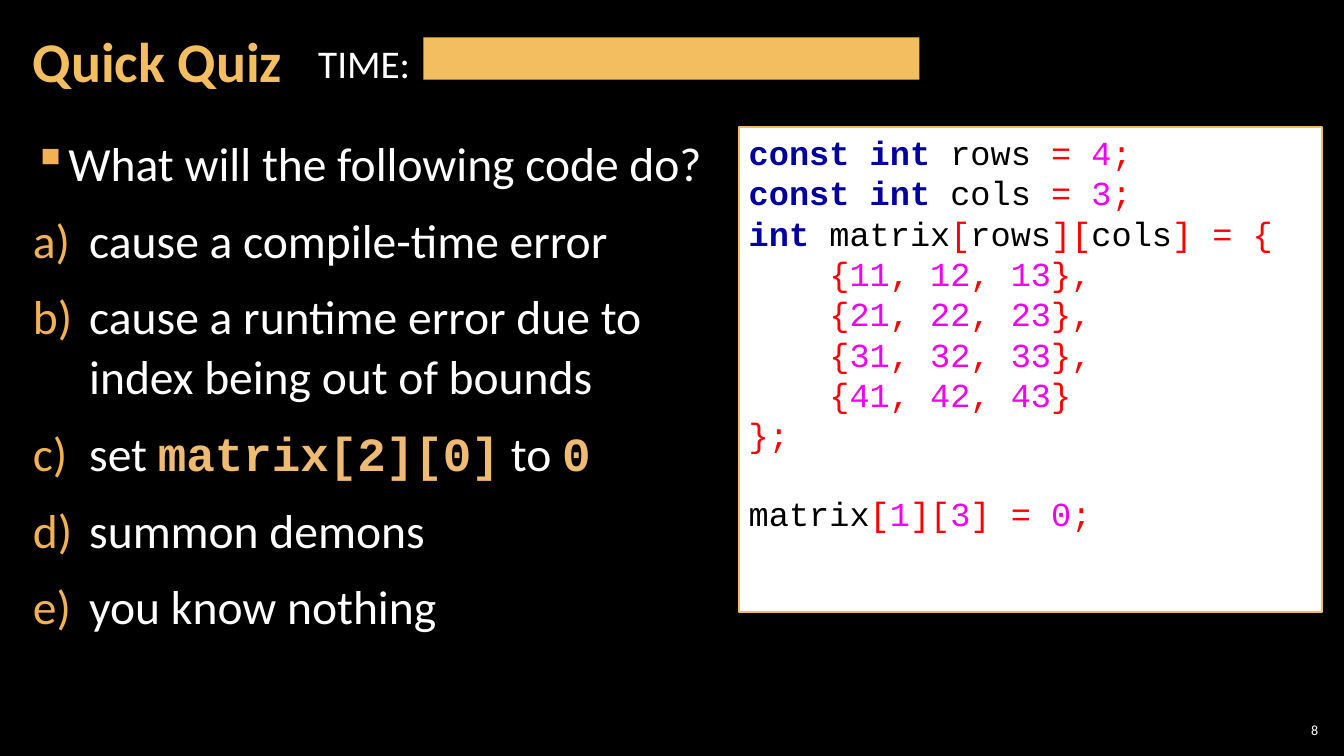
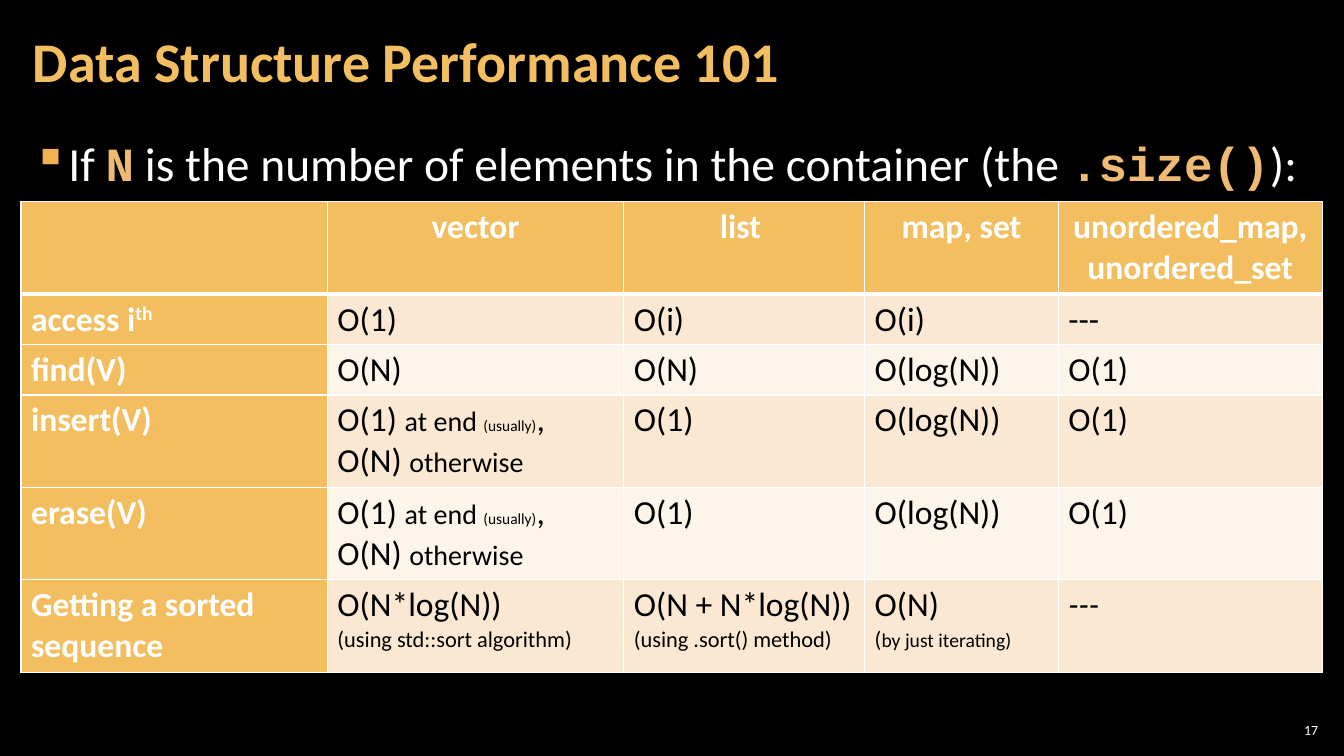
from itertools import groupby

from lxml.etree import SubElement
from pptx import Presentation
from pptx.dml.color import RGBColor
from pptx.enum.shapes import MSO_SHAPE as Shape
from pptx.enum.text import MSO_ANCHOR as Anchor, PP_ALIGN as Align
from pptx.oxml.ns import qn
from pptx.util import Cm, Pt

BLACK = RGBColor(0x00, 0x00, 0x00)
WHITE = RGBColor(0xFF, 0xFF, 0xFF)
GOLD = RGBColor(0xF3, 0xBE, 0x60)
BULLET = RGBColor(0xF2, 0xB2, 0x54)
INLINE_CODE = RGBColor(0xEF, 0xBB, 0x72)
KEYWORD = RGBColor(0x00, 0x00, 0xA0)
SYMBOL = RGBColor(0xFF, 0x00, 0x00)
NUMBER = RGBColor(0xF0, 0x00, 0xF0)
BAND_DARK = RGBColor(0xFA, 0xE8, 0xD2)
BAND_LIGHT = RGBColor(0xFD, 0xF4, 0xEA)

SANS, MONO = "Calibri", "Courier New"
LEFT, TOP, WIDTH = Cm(0.53), Cm(3.2), Cm(32.79)
BODY_BOX = (LEFT, TOP, WIDTH, Cm(15.47))
TITLE_BOX = (LEFT, Cm(0.1), Cm(26.59), Cm(3.07))
NUMBER_BOX = (Cm(32.13), Cm(18.14), Cm(1.19), Cm(0.53))
TIME_BOX = (Cm(7.77), Cm(0.86), Cm(2.84), Cm(1.45))
TIME_BAR = (Cm(10.67), Cm(0.94), Cm(12.5), Cm(1.07))
CODE_BOX = (Cm(18.62), TOP, Cm(14.7), Cm(12.22))

CODE = """const int rows = 4;
const int cols = 3;
int matrix[rows][cols] = {
\t{11, 12, 13},
\t{21, 22, 23},
\t{31, 32, 33},
\t{41, 42, 43}
};

matrix[1][3] = 0;"""

ANSWERS = [
    "cause a compile-time error",
    "cause a runtime error due to \nindex being out of bounds",
    "set `matrix[2][0]` to `0`",
    "summon demons",
    "you know nothing",
]

COLUMN_WIDTHS = [7.72, 7.47, 6.07, 4.88, 6.65]
ROW_HEIGHTS = [2.33, 1.27, 1.27, 2.33, 2.33, 2.33]
CONTAINERS = ["", "vector", "list ", "map, set", "unordered_map, unordered_set"]
AT_END = [
    [("O(1) ", 24), ("at end ", 20), ("(usually)", 11), (",", 24)],
    [("O(N) ", 24), ("otherwise", 20)],
]
COSTS = [
    ["access i^th", "O(1)", "O(i)", "O(i)", "---"],
    ["find(V)", "O(N)", "O(N)", "O(log(N))", "O(1)"],
    ["insert(V)", AT_END, "O(1)", "O(log(N))", "O(1)"],
    ["erase(V)", AT_END, "O(1)", "O(log(N))", "O(1)"],
    [
        "Getting a sorted sequence",
        [[("O(N*log(N))\n", 24), ("(using std::sort algorithm)", 16)]],
        [[("O(N + N*log(N))\n", 24), ("(using .sort() method)", 16)]],
        [[("O(N) \n", 24), ("(", 16), ("by just iterating)", 14)]],
        "---",
    ],
]


def apply(target, **values):
    for name, value in values.items():
        setattr(target, name, value)


def add_text(paragraph, text, size, color=WHITE, name=SANS, bold=False, **values):
    for index, line in enumerate(text.split("\n")):
        if index:
            paragraph.add_line_break()
        if line:
            run = paragraph.add_run()
            run.text = line
            apply(run.font, size=Pt(size), name=name, bold=bold, **values)
            run.font.color.rgb = color
    return run if text else None


def add_frame(slide, box, side=0.3, edge=0.1, **values):
    frame = slide.shapes.add_textbox(*box).text_frame
    apply(frame, margin_left=Cm(side), margin_right=Cm(side),
          margin_top=Cm(edge), margin_bottom=Cm(edge),
          **{"word_wrap": True, **values})
    return frame


def add_rectangle(slide, box, fill):
    rectangle = slide.shapes.add_shape(Shape.RECTANGLE, *box)
    rectangle.shadow.inherit = False
    rectangle.fill.solid()
    rectangle.fill.fore_color.rgb = fill
    rectangle.line.fill.background()
    return rectangle


def next_paragraph(frame, index):
    return frame.add_paragraph() if index else frame.paragraphs[0]


def base_slide(prs, title, number):
    slide = prs.slides.add_slide(prs.slide_layouts[6])
    heading = add_frame(slide, TITLE_BOX, vertical_anchor=Anchor.MIDDLE).paragraphs[0]
    heading.line_spacing = 0.9
    add_text(heading, title, 40, GOLD, bold=True)
    page = add_frame(slide, NUMBER_BOX, 0.1, vertical_anchor=Anchor.MIDDLE).paragraphs[0]
    page.alignment = Align.RIGHT
    add_text(page, number, 10)
    return slide


def add_bullet(paragraph, indent, tag, **marker):
    apply(paragraph, line_spacing=1.05, space_before=Pt(6), space_after=Pt(6))
    properties = paragraph._p.get_or_add_pPr()
    properties.set("marL", str(indent))
    properties.set("indent", str(-indent))
    color = SubElement(properties, qn("a:buClr"))
    SubElement(color, qn("a:srgbClr"), val=str(BULLET))
    SubElement(properties, qn(tag), **marker)


def add_body(slide, box, question, answers=()):
    frame = add_frame(slide, box)
    for index, line in enumerate([question, *answers]):
        paragraph = next_paragraph(frame, index)
        if index:
            add_bullet(paragraph, Cm(1.42), "a:buAutoNum", type="alphaLcParenR")
        else:
            add_bullet(paragraph, Cm(0.84), "a:buChar", char="▪")
        for part, text in enumerate(line.split("`")):
            if part % 2:
                add_text(paragraph, text, 34, INLINE_CODE, MONO, True)
            elif text:
                add_text(paragraph, text, 34)


def token_color(token):
    if token in ("const", "int"):
        return KEYWORD
    if token.isdigit():
        return NUMBER
    return BLACK if token.isalnum() else SYMBOL


def add_code(slide, box, code):
    panel = add_rectangle(slide, box, WHITE)
    panel.line.color.rgb = GOLD
    panel.line.width = Pt(1)
    frame = panel.text_frame
    apply(frame, word_wrap=True, vertical_anchor=Anchor.TOP)
    blocks = [block.split("\n") for block in code.split("\n\n")]
    for block_index, block in enumerate(blocks):
        for index, line in enumerate(block):
            paragraph = next_paragraph(frame, block_index + index)
            paragraph.alignment = Align.LEFT
            if block_index and not index:
                paragraph.space_before = Pt(27.2)
            if line.startswith("\t"):
                paragraph._p.get_or_add_pPr().set("marL", str(Pt(57.6)))
            for _, letters in groupby(line.strip(), str.isalnum):
                token = "".join(letters)
                color = token_color(token)
                add_text(paragraph, token, 24, color, MONO, color == KEYWORD)


def add_timer(slide, label_box, bar_box):
    label = add_frame(slide, label_box, 0.25, 0.13, word_wrap=False)
    add_text(label.paragraphs[0], "TIME:", 28)
    add_rectangle(slide, bar_box, GOLD)


def set_borders(cell, **widths):
    properties = cell._tc.get_or_add_tcPr()
    for side in "LRTB":
        line = SubElement(properties, qn("a:ln" + side), w=str(Pt(widths.get(side, 1))))
        fill = SubElement(line, qn("a:solidFill"))
        SubElement(fill, qn("a:srgbClr"), val=str(WHITE))


def fill_cell(cell, content, row, column):
    is_label = row == 0 or column == 0
    set_borders(cell, **{0: {"B": 3}, 1: {"T": 3}}.get(row, {}))
    cell.fill.solid()
    cell.fill.fore_color.rgb = GOLD if is_label else (BAND_LIGHT, BAND_DARK)[row % 2]
    look = {"color": WHITE if is_label else BLACK, "bold": is_label}
    if row == len(COSTS) and content == "---":
        look["italic"] = True
    if isinstance(content, str):
        content, _, raised = content.partition("^")
        paragraphs = [[(content, 24)]]
    else:
        paragraphs, raised = content, ""
    for index, runs in enumerate(paragraphs):
        paragraph = next_paragraph(cell.text_frame, index)
        paragraph.alignment = Align.LEFT if row else Align.CENTER
        for text, size in runs:
            add_text(paragraph, text, size, **look)
        if raised:
            run = add_text(paragraph, raised, 24, **look)
            run.font._element.set("baseline", "30000")


def add_cost_table(slide, left, top):
    rows = [CONTAINERS, *COSTS]
    size = (Cm(sum(COLUMN_WIDTHS)), Cm(sum(ROW_HEIGHTS)))
    table = slide.shapes.add_table(len(rows), len(CONTAINERS), left, top, *size).table
    for column, width in zip(table.columns, COLUMN_WIDTHS):
        column.width = Cm(width)
    for row, height in zip(table.rows, ROW_HEIGHTS):
        row.height = Cm(height)
    for row, contents in enumerate(rows):
        for column, content in enumerate(contents):
            fill_cell(table.cell(row, column), content, row, column)


def quiz_slide(prs):
    slide = base_slide(prs, "Quick Quiz", "8")
    add_body(slide, BODY_BOX, "What will the following code do?", ANSWERS)
    add_timer(slide, TIME_BOX, TIME_BAR)
    add_code(slide, CODE_BOX, CODE)


def performance_slide(prs):
    slide = base_slide(prs, "Data Structure Performance 101", "17")
    add_body(slide, BODY_BOX,
             "If `N` is the number of elements in the container (the `.size()`):")
    add_cost_table(slide, LEFT, Cm(5.08))


def main():
    prs = Presentation()
    apply(prs, slide_width=Cm(33.87), slide_height=Cm(19.05))
    backdrop = prs.slide_master.background.fill
    backdrop.solid()
    backdrop.fore_color.rgb = BLACK
    quiz_slide(prs)
    performance_slide(prs)
    prs.save("out.pptx")


if __name__ == "__main__":
    main()
